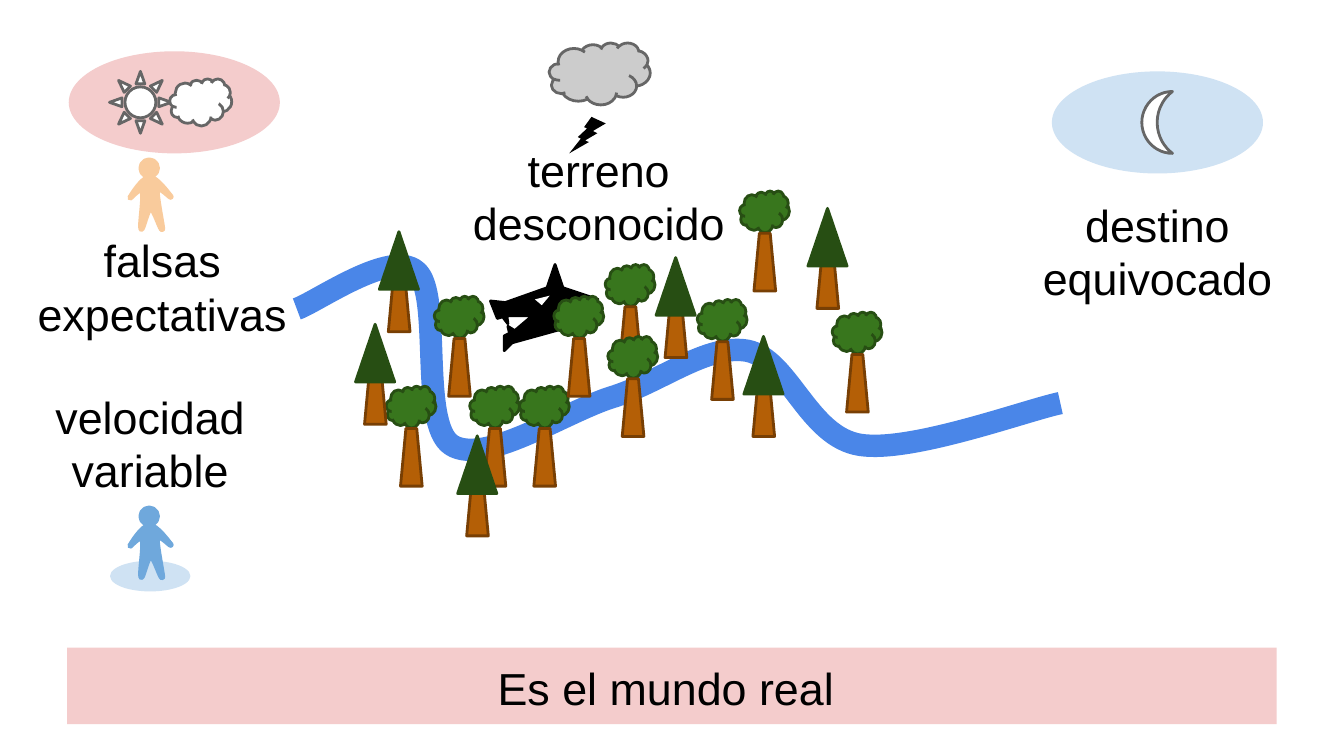
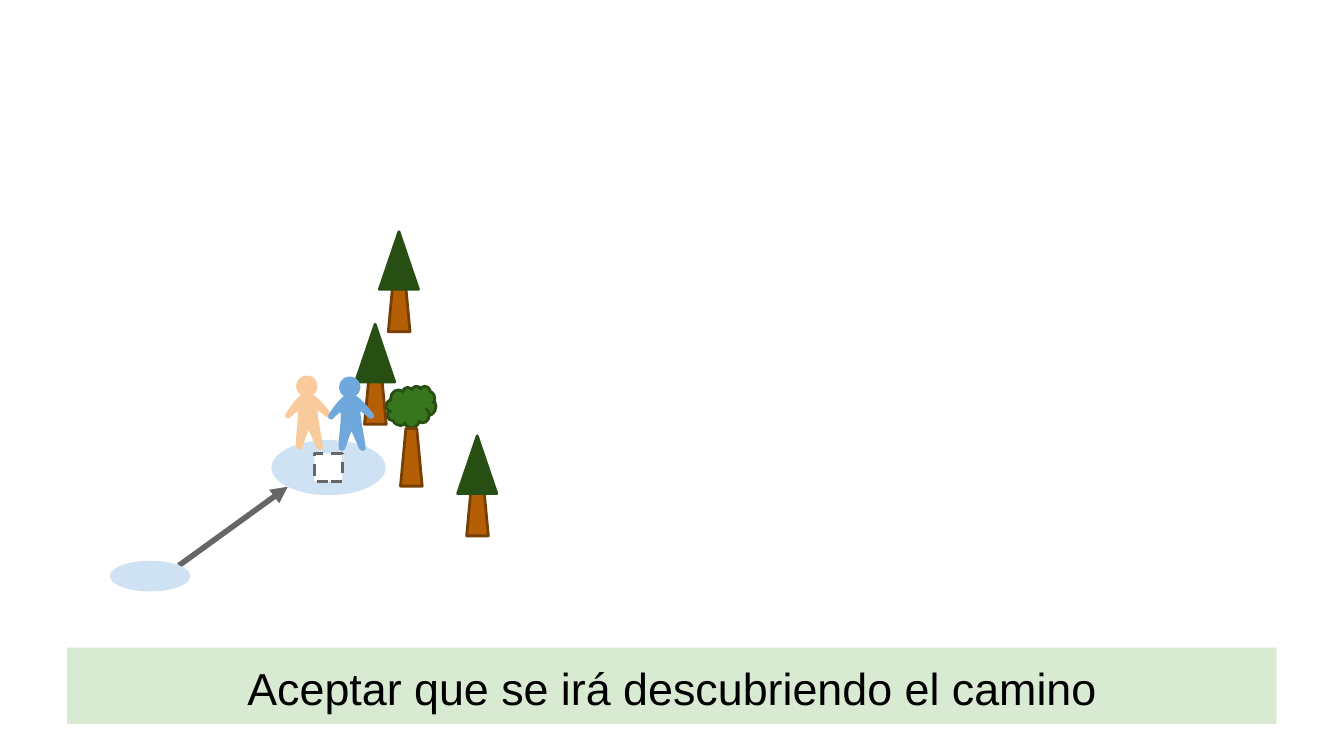
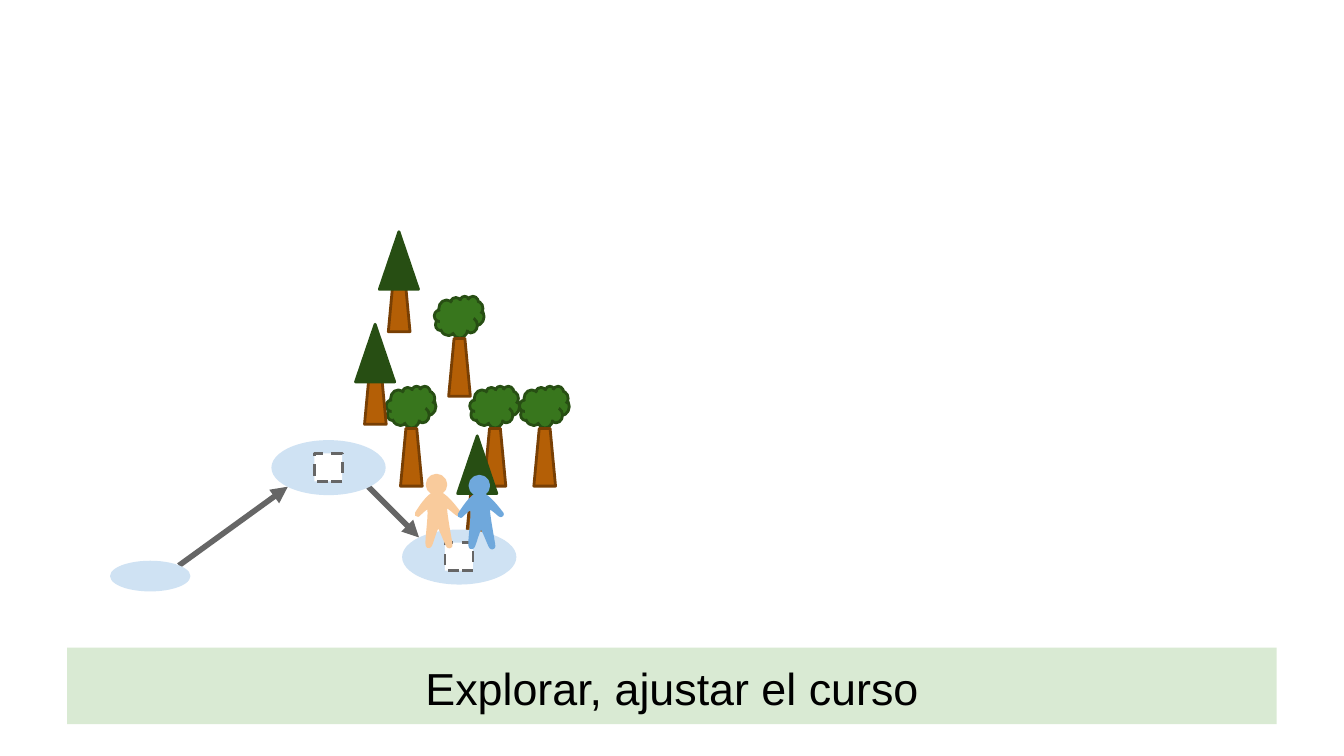
import pptx
import pptx.dml.color
import pptx.enum.dml
import pptx.enum.shapes
import pptx.enum.text
import pptx.oxml
import pptx.oxml.ns
import pptx.util
from pptx.util import Cm

PRESET = pptx.enum.shapes.MSO_SHAPE
NAMESPACE = 'xmlns:a="http://schemas.openxmlformats.org/drawingml/2006/main"'

# Fill, line colour and line width
GREY_LINE = ("666666", 1.5)
PALE_BLUE = ("CFE2F3",)
PINK = ("F4CCCC",)
PALE_GREEN = ("D9EAD3",)
WHITE = ("FFFFFF", *GREY_LINE)
LEAVES = ("38761D", "274E13", 1.5)
NEEDLES = ("274E13", "274E13", 1.5)
BARK = ("B45F06", "783F04", 1.5)
ORANGE_SKIN = ("F9CB9C", "F9CB9C", 3)
BLUE_SKIN = ("6FA8DC", "6FA8DC", 3)


def paint(item, fill=None, line=None, width=0, dash=False):
    """Apply colours given as hex strings to a shape or a connector."""
    if fill:
        item.fill.solid()
        item.fill.fore_color.rgb = pptx.dml.color.RGBColor.from_string(fill)
    elif hasattr(item, "fill"):
        item.fill.background()
    if line:
        item.line.color.rgb = pptx.dml.color.RGBColor.from_string(line)
        item.line.width = pptx.util.Pt(width)
    else:
        item.line.fill.background()
    if dash:
        item.line.dash_style = pptx.enum.dml.MSO_LINE.DASH


def write(shape, text, size=24, color="000000", margin=0.25):
    frame = shape.text_frame
    frame.word_wrap = True
    frame.auto_size = pptx.enum.text.MSO_AUTO_SIZE.NONE
    frame.vertical_anchor = pptx.enum.text.MSO_ANCHOR.TOP
    frame.margin_left = frame.margin_right = Cm(margin)
    frame.margin_top = frame.margin_bottom = Cm(margin)
    paragraph = frame.paragraphs[0]
    paragraph.alignment = pptx.enum.text.PP_ALIGN.CENTER
    paragraph.space_before = pptx.util.Pt(0)
    run = paragraph.add_run()
    run.text = text
    run.font.name = "Arial"
    run.font.size = pptx.util.Pt(size)
    run.font.color.rgb = pptx.dml.color.RGBColor.from_string(color)


# Bézier curves: a start point, then two control points and an end point each
curves = {
    "river": [
        (5.61, 5.84),
        (5.97, 5.72), (7.39, 4.7), (7.87, 5.13),
        (8.36, 5.54), (7.92, 8), (8.53, 8.41),
        (9.14, 8.81), (10.62, 7.82), (11.53, 7.52),
        (12.47, 7.24), (13.34, 6.5), (14.12, 6.63),
        (14.91, 6.78), (15.27, 8.26), (16.26, 8.41),
        (17.22, 8.56), (19.41, 7.75), (20.04, 7.62),
    ],
    "body": [
        (-0.36, 0.71),
        (-0.33, 0.66), (-0.13, 0.33), (0, 0.33),
        (0.13, 0.3), (0.38, 0.66), (0.41, 0.69),
        (0.43, 0.74), (0.18, 0.46), (0.15, 0.56),
        (0.13, 0.66), (0.25, 1.24), (0.25, 1.3),
        (0.23, 1.37), (0.1, 0.91), (0.03, 0.91),
        (-0.03, 0.89), (-0.13, 1.35), (-0.15, 1.3),
        (-0.18, 1.24), (-0.08, 0.66), (-0.13, 0.58),
        (-0.15, 0.48), (-0.38, 0.74), (-0.36, 0.71),
    ],
}
polygons = {
    "plane": [
        (9.4, 6.02), (9.5, 5.99), (9.6, 6.12), (9.58, 5.97), (10.06, 5.97),
        (9.73, 6.25), (9.6, 6.17), (9.63, 6.3), (9.53, 6.35), (9.53, 6.63),
        (9.68, 6.48), (10.62, 6.22), (10.87, 6.27), (11.3, 5.66), (10.64, 5.44),
        (10.49, 5), (10.34, 5.44), (9.55, 5.72), (9.27, 5.69),
    ],
    "window": [(10.11, 5.66), (10.39, 5.59), (10.24, 5.77)],
}

# Each thing is a list of parts: outline, box relative to its anchor, style
in_place = (0, 0, 0, 0)
trunk = (PRESET.TRAPEZOID, (-0.2, 0.8, 0.41, 1.09), BARK)
head_box = (-0.15, 0, 0.3, 0.3)
sky_box = (0, 0, 3.99, 1.93)
things = {
    "river": [("river", in_place, (None, "4A86E8", 12))],
    "plane": [("plane", in_place, ("000000", "000000", 1.5)),
              ("window", in_place, ("FFFFFF",))],
    "leafy tree": [(PRESET.CLOUD, (-0.47, 0, 0.94, 0.79), LEAVES), trunk],
    "pine": [trunk, (PRESET.ISOSCELES_TRIANGLE, (-0.37, 0, 0.74, 1.09), NEEDLES)],
    "start": [(PRESET.OVAL, (0, 0, 1.52, 0.58), PALE_BLUE)],
    "stop": [(PRESET.OVAL, (0, 0, 2.16, 1.04), PALE_BLUE),
             (PRESET.RECTANGLE, (0.81, 0.25, 0.53, 0.53), (*WHITE, True))],
    "day sky": [(PRESET.OVAL, sky_box, PINK)],
    "night sky": [(PRESET.OVAL, sky_box, PALE_BLUE)],
    "sun": [(PRESET.SUN, (0, 0, 1.17, 1.17), WHITE)],
    "white cloud": [(PRESET.CLOUD, (0, 0, 1.17, 0.89), WHITE)],
    "moon": [(PRESET.MOON, (0, 0, 0.58, 1.17), WHITE)],
    "storm cloud": [(PRESET.CLOUD, (0, 0, 1.91, 1.17), ("CCCCCC", *GREY_LINE))],
    "lightning": [(PRESET.LIGHTNING_BOLT, (0, 0, 0.69, 0.69), ("000000",))],
}
for person, skin in (("orange person", ORANGE_SKIN), ("blue person", BLUE_SKIN)):
    things[person] = [("body", in_place, skin), (PRESET.OVAL, head_box, skin)]
things["pair"] = things["orange person"] + [
    (outline, (left + 0.81, top + 0.02, width, height), style)
    for outline, (left, top, width, height), style in things["blue person"]]

# Things with their anchors, from back to front
start = ("start", 2.08, 10.6)
first_stop = ("stop", 5.13, 8.32)
second_stop = ("stop", 7.6, 10.01)
first_leafy = [("leafy tree", 7.77, 7.3)]
explored_leafy = first_leafy + [
    ("leafy tree", x, y) for x, y in ((9.35, 7.3), (10.29, 7.3), (8.68, 5.6))]
far_leafy = [
    ("leafy tree", x, y) for x, y in (
        (14.45, 3.61), (11.91, 5), (10.94, 5.6), (11.96, 6.36),
        (13.65, 5.66), (16.2, 5.9))]
near_pines = [("pine", x, y) for x, y in ((7.54, 4.38), (9.02, 8.24), (7.09, 6.13))]
far_pines = [("pine", x, y) for x, y in ((15.64, 3.94), (12.77, 4.87), (14.43, 6.36))]

first_arrow = (3.38, 10.69, 5.44, 9.2)
second_arrow = (6.96, 9.2, 7.92, 10.16)

# Caption, caption style, arrows, scenery, labels
scenes = [
    ("Es el mundo real ", PINK, [],
     [("river", 0, 0), start, ("blue person", 2.82, 9.61), ("night sky", 19.88, 1.35),
      ("moon", 21.58, 1.73), ("plane", 0, 0),
      *explored_leafy, *far_leafy, *near_pines, *far_pines,
      ("day sky", 1.3, 0.97), ("storm cloud", 10.38, 0.81), ("lightning", 10.76, 2.21),
      ("sun", 2.07, 1.35), ("white cloud", 3.21, 1.49), ("orange person", 2.82, 3.03)],
     [("velocidad variable", 0.37, 7.11, 4.93, 3.71),
      ("terreno desconocido", 8.51, 2.44, 5.61, 3.71),
      ("destino equivocado", 19.07, 3.48, 5.61, 3.71),
      ("falsas expectativas", 0.26, 4.15, 5.61, 2.59)]),
    ("Aceptar que se irá descubriendo el camino", PALE_GREEN, [first_arrow],
     [start, *first_leafy, *near_pines, first_stop, ("pair", 5.8, 7.15)], []),
    ("Explorar, ajustar el curso", PALE_GREEN, [first_arrow, second_arrow],
     [start, *explored_leafy, *near_pines, first_stop, second_stop,
      ("pair", 8.25, 9.01)], []),
]

presentation = pptx.Presentation()
presentation.slide_width = Cm(25.4)
presentation.slide_height = Cm(14.29)

for caption, caption_style, arrows, scenery, labels in scenes:
    slide = presentation.slides.add_slide(presentation.slide_layouts[5])
    title = slide.shapes.title
    title.left, title.top, title.width, title.height = (
        Cm(1.27), Cm(12.24), Cm(22.86), Cm(1.45))
    paint(title, *caption_style)
    write(title, caption)

    for ends in arrows:
        arrow = slide.shapes.add_connector(
            pptx.enum.shapes.MSO_CONNECTOR.STRAIGHT, *map(Cm, ends))
        paint(arrow, line="666666", width=3)
        arrow.line._get_or_add_ln().append(
            pptx.oxml.parse_xml(f'<a:tailEnd {NAMESPACE} type="triangle"/>'))
        arrow._element.spPr.append(pptx.oxml.parse_xml(f"<a:effectLst {NAMESPACE}/>"))

    for name, x, y in scenery:
        parts = things[name]
        shapes = slide.shapes
        if len(parts) > 1:
            shapes = slide.shapes.add_group_shape().shapes
        for outline, (left, top, width, height), style in parts:
            if outline in curves or outline in polygons:
                points = [(Cm(x + left + dx), Cm(y + top + dy))
                          for dx, dy in curves.get(outline) or polygons[outline]]
                corners = points[::3] if outline in curves else points
                builder = shapes.build_freeform(*corners[0])
                builder.add_line_segments(corners[1:], close=outline != "river")
                shape = builder.convert_to_shape()
            else:
                shape = shapes.add_shape(
                    outline, Cm(x + left), Cm(y + top), Cm(width), Cm(height))
            if outline in curves:
                # Turn each straight segment into a cubic curve
                segments = list(shape._element.iter(pptx.oxml.ns.qn("a:lnTo")))
                for index, segment in enumerate(segments):
                    controls = "".join(
                        f'<a:pt x="{px - shape.left}" y="{py - shape.top}"/>'
                        for px, py in points[3 * index + 1:3 * index + 4])
                    segment.getparent().replace(segment, pptx.oxml.parse_xml(
                        f"<a:cubicBezTo {NAMESPACE}>{controls}</a:cubicBezTo>"))
            if outline == PRESET.LIGHTNING_BOLT:
                shape._element.spPr.xfrm.set("flipH", "1")
            shape.shadow.inherit = False
            paint(shape, *style)

    for text, *box in labels:
        write(slide.shapes.add_textbox(*map(Cm, box)), text)

presentation.save("out.pptx")
